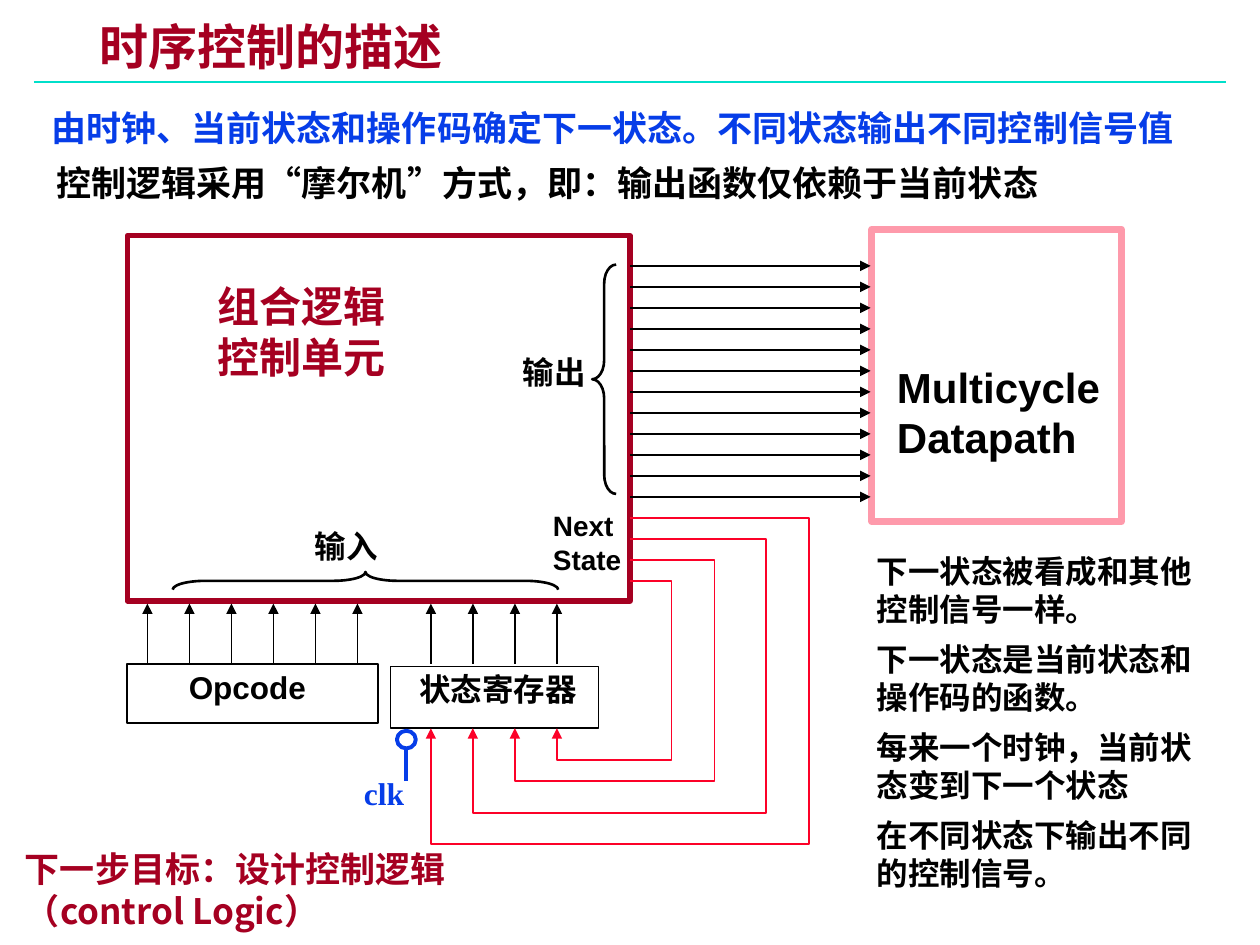
from lxml.etree import SubElement
from pptx import Presentation
from pptx.dml.color import RGBColor
from pptx.enum.shapes import MSO_CONNECTOR as Connector, MSO_SHAPE as Shape
from pptx.enum.text import MSO_ANCHOR as Anchor
from pptx.oxml.ns import qn
from pptx.util import Inches, Pt

THEME = {
    "ink": "000000", "crimson": "A50021", "blue": "063DE8", "red": "FC0128",
    "pink": "FE9AAB", "teal": "00DFCA",
    "title": 28, "block": 24, "lead": 20, "body": 18, "small": 16,
    "sans": "Arial", "serif": "Times New Roman", "cjk": "Noto Sans CJK SC",
}

# left, top, width, height, paragraphs, size, font, colour, extra format values
TEXTS = [
    (0.72, 0.17, 8.53, 0.46, ["时序控制的描述"], "title", "sans", "crimson",
     {"frame": {"margin_left": Inches(0.07), "margin_top": Inches(0.03),
                "margin_bottom": Inches(0.03), "vertical_anchor": Anchor.MIDDLE},
      "para": {"line_spacing": 0.87}}),
    (0.31, 0.8, 9.52, 0.43, ["由时钟、当前状态和操作码确定下一状态。不同状态输出不同控制信号值"],
     "lead", "cjk", "blue", {}),
    (0.35, 1.23, 8.59, 0.43, ["控制逻辑采用“摩尔机”方式，即：输出函数仅依赖于当前状态"],
     "lead", "cjk", "ink", {}),
    (1.63, 2.18, 1.76, 0.9, ["组合逻辑控制单元"], "block", "serif", "crimson", {}),
    (7.02, 2.82, 1.81, 0.9, ["Multicycle", "Datapath"], "block", "sans", "ink", {}),
    (4.05, 2.75, 0.8, 0.4, ["输出"], "body", "serif", "ink", {}),
    (2.4, 4.13, 0.82, 0.4, ["输入"], "body", "serif", "ink", {}),
    (4.29, 3.99, 0.75, 0.64, ["Next", "State"], "small", "sans", "ink", {}),
    (1.4, 5.25, 1.13, 0.4, ["Opcode"], "body", "sans", "ink",
     {"frame": {"word_wrap": False}}),
    (3.23, 5.27, 1.53, 0.4, ["状态寄存器"], "body", "serif", "ink", {}),
    (2.79, 6.09, 0.83, 0.4, ["clk"], "body", "serif", "blue", {}),
    (6.86, 4.33, 2.83, 2.86,
     ["下一状态被看成和其他控制信号一样。", "下一状态是当前状态和操作码的函数。",
      "每来一个时钟，当前状态变到下一个状态", "在不同状态下输出不同的控制信号。"],
     "body", "cjk", "ink", {"gap": 7.2}),
    (0.1, 6.68, 3.64, 0.77, ["下一步目标：设计控制逻辑（control Logic）"],
     "lead", "cjk", "crimson", {}),
]

# preset, left, top, width, height, colour, line width, rotation, adjustments
SHAPES = [
    (Shape.RECTANGLE, 1.01, 1.87, 3.99, 2.9, "crimson", 3, 0, ()),
    (Shape.RECTANGLE, 6.92, 1.82, 1.98, 2.32, "pink", 4, 0, ()),
    (Shape.RECTANGLE, 1.01, 5.27, 1.99, 0.47, "ink", 1, 0, ()),
    (Shape.RECTANGLE, 3.1, 5.29, 1.65, 0.49, "ink", 1, 0, ()),
    (Shape.OVAL, 3.15, 5.8, 0.15, 0.14, "blue", 2.25, 0, ()),
    (Shape.LEFT_BRACE, 4.7, 2.1, 0.19, 1.82, "ink", 1.5, 0, (0.795, 0.5)),
    (Shape.LEFT_BRACE, 2.83, 3.08, 0.14, 3.06, "ink", 1.5, 90, (1.837, 0.5)),
]

PITCH = 1 / 6
CONTROL_RIGHT, CONTROL_BOTTOM = 5.0, 4.79
REGISTER_BOTTOM = 5.78
OUTPUT_TOP, OUTPUT_COUNT, OUTPUT_END = 2.11, 12, 6.91
OPCODE_LEFT, OPCODE_COUNT, OPCODE_TOP = 1.17, 6, 5.26
STATE_LEFT, STATE_TOP = 3.42, 5.27
# right edge and lowest level of each next-state loop, outermost first
LOOPS = [(6.42, 6.7), (6.08, 6.45), (5.67, 6.2), (5.33, 6.03)]


def colour(name):
    return RGBColor.from_string(THEME[name])


def apply(target, values):
    for name, value in values.items():
        setattr(target, name, value)


def style_line(item, name, width, arrow=False):
    item.line.color.rgb = colour(name)
    item.line.width = Pt(width)
    if arrow:
        SubElement(item.line._get_or_add_ln(), qn("a:tailEnd"), type="triangle")


def add_line(page, start, end, name, width, arrow=False):
    ends = [Inches(value) for value in (*start, *end)]
    line = page.shapes.add_connector(Connector.STRAIGHT, *ends)
    style_line(line, name, width, arrow)
    SubElement(line._element.spPr, qn("a:effectLst"))


def add_outline(page, preset, left, top, width, height, name, weight, turn, adjusts):
    box = page.shapes.add_shape(preset, *map(Inches, (left, top, width, height)))
    box.shadow.inherit = False
    box.fill.background()
    box.rotation = turn
    for index, value in enumerate(adjusts):
        box.adjustments[index] = value
    style_line(box, name, weight)


def add_loop(page, points):
    (first, *rest) = [(Inches(x), Inches(y)) for x, y in points]
    builder = page.shapes.build_freeform(*first)
    builder.add_line_segments(rest, close=False)
    loop = builder.convert_to_shape()
    loop.shadow.inherit = False
    loop.fill.background()
    style_line(loop, "red", 1, arrow=True)


def add_text(page, left, top, width, height, lines, size, font, name, extra):
    box = page.shapes.add_textbox(*map(Inches, (left, top, width, height)))
    frame = box.text_frame
    apply(frame, {"word_wrap": True, **extra.get("frame", {})})
    for index, line in enumerate(lines):
        para = frame.paragraphs[0] if index == 0 else frame.add_paragraph()
        apply(para, extra.get("para", {}))
        if index and "gap" in extra:
            para.space_before = Pt(extra["gap"])
        span = para.add_run()
        span.text = line
        apply(span.font, {"name": THEME[font], "size": Pt(THEME[size]), "bold": True})
        span.font.color.rgb = colour(name)
        SubElement(span._r.get_or_add_rPr(), qn("a:ea"), typeface=THEME["cjk"])


def main():
    deck = Presentation()
    deck.slide_width, deck.slide_height = Inches(10), Inches(7.5)
    page = deck.slides.add_slide(deck.slide_layouts[6])

    add_line(page, (0.27, 0.65), (9.73, 0.65), "teal", 1.5)
    for shape in SHAPES:
        add_outline(page, *shape)
    add_line(page, (3.22, 6.2), (3.22, 5.93), "blue", 2.25)

    for index in range(OUTPUT_COUNT):
        y = OUTPUT_TOP + index * PITCH
        add_line(page, (CONTROL_RIGHT, y), (OUTPUT_END, y), "ink", 1, arrow=True)
    for left, count, top in ((OPCODE_LEFT, OPCODE_COUNT, OPCODE_TOP),
                             (STATE_LEFT, len(LOOPS), STATE_TOP)):
        for index in range(count):
            x = left + index * 2 * PITCH
            add_line(page, (x, top), (x, CONTROL_BOTTOM), "ink", 1, arrow=True)
    for index, (right, bottom) in enumerate(LOOPS):
        x = STATE_LEFT + index * 2 * PITCH
        y = OUTPUT_TOP + (OUTPUT_COUNT + index) * PITCH
        add_loop(page, [(CONTROL_RIGHT, y), (right, y), (right, bottom),
                        (x, bottom), (x, REGISTER_BOTTOM)])

    for text in TEXTS:
        add_text(page, *text)
    deck.save("out.pptx")


if __name__ == "__main__":
    main()
